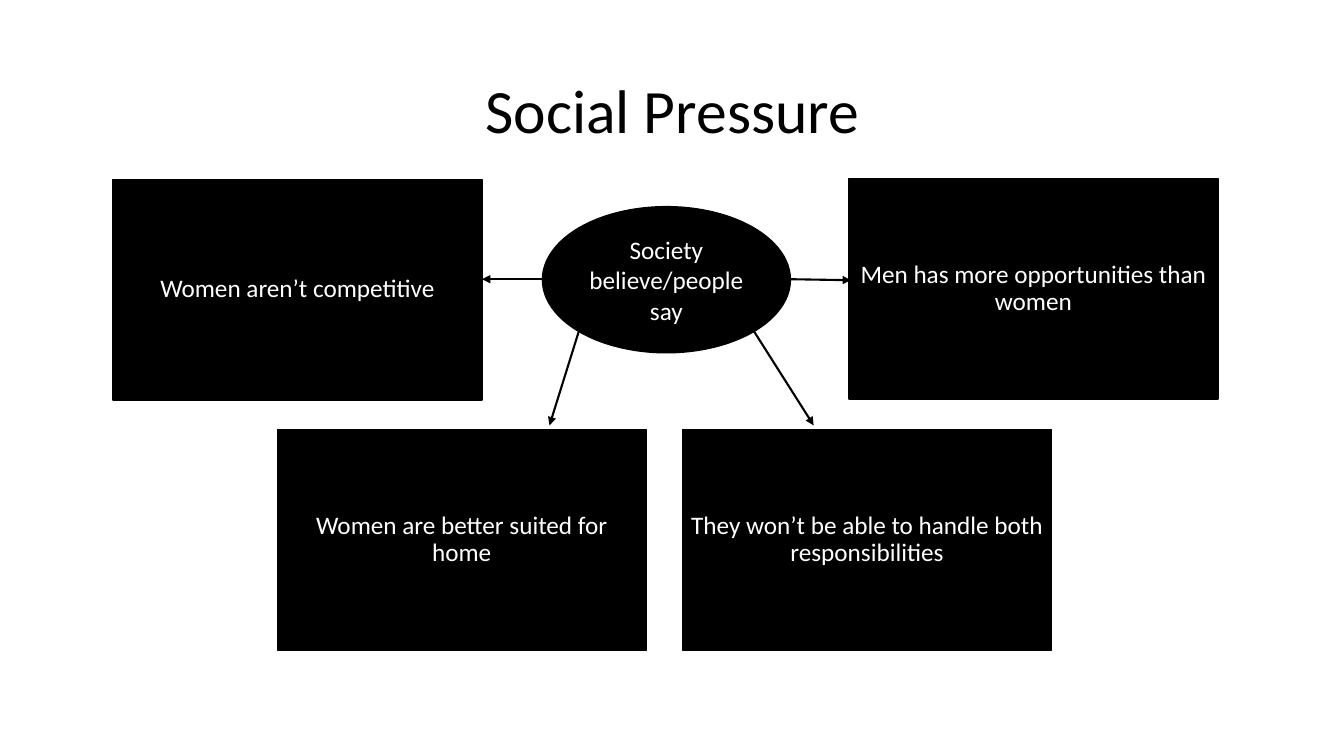
import pptx
import pptx.dml.color
import pptx.enum.shapes
import pptx.enum.text
import pptx.oxml
import pptx.oxml.ns
import pptx.util
from pptx.util import Inches

COLOURS = {"ink": "000000", "paper": "FFFFFF"}
FONT = "Calibri"
BOX_SIZE = (3.66, 2.19)
BELIEFS = [
    ("Men has more opportunities than women", 8.42, 1.77),
    ("Women aren’t competitive", 1.12, 1.78),
    ("They won’t be able to handle both responsibilities", 6.77, 4.26),
    ("Women are better suited for home", 2.75, 4.26),
]
ARROWS = [
    (5.38, 2.77, 4.78, 2.77),
    (7.83, 2.77, 8.44, 2.78),
    (5.74, 3.29, 5.45, 4.22),
    (7.48, 3.29, 8.07, 4.22),
]


def rgb(name):
    """Return the named colour."""
    return pptx.dml.color.RGBColor.from_string(COLOURS[name])


def set_all(target, values):
    """Set each attribute of target from a dict."""
    for name, value in values.items():
        setattr(target, name, value)


def write_text(shape, text, size, colour, spacing=1.0, inset=None):
    """Write one centred paragraph into a shape."""
    frame = shape.text_frame
    set_all(frame, {"word_wrap": True,
                    "vertical_anchor": pptx.enum.text.MSO_ANCHOR.MIDDLE})
    if inset is not None:
        sides = ("left", "top", "right", "bottom")
        set_all(frame, {f"margin_{side}": Inches(inset) for side in sides})
    paragraph = frame.paragraphs[0]
    set_all(paragraph, {"alignment": pptx.enum.text.PP_ALIGN.CENTER,
                        "line_spacing": spacing})
    run = paragraph.add_run()
    run.text = text
    set_all(run.font, {"name": FONT, "size": pptx.util.Pt(size)})
    run.font.color.rgb = rgb(colour)


def add_title(slide, text):
    """Add the slide heading."""
    title = slide.shapes.add_textbox(*map(Inches, (0.92, 0.4, 11.5, 1.45)))
    write_text(title, text, 44, "ink", spacing=0.9)


def add_node(slide, kind, bounds, text, **text_format):
    """Add a filled shape with a white label."""
    shape = slide.shapes.add_shape(kind, *map(Inches, bounds))
    shape.shadow.inherit = False
    shape.fill.solid()
    shape.fill.fore_color.rgb = rgb("ink")
    shape.line.color.rgb = rgb("ink")
    shape.line.width = pptx.util.Pt(1)
    write_text(shape, text, 18, "paper", **text_format)


def add_arrow(slide, ends):
    """Add a straight arrow pointing at the second end."""
    straight = pptx.enum.shapes.MSO_CONNECTOR.STRAIGHT
    arrow = slide.shapes.add_connector(straight, *map(Inches, ends))
    arrow.line.color.rgb = rgb("ink")
    arrow.line.width = pptx.util.Pt(1.5)
    head = pptx.oxml.parse_xml(
        f'<a:tailEnd {pptx.oxml.ns.nsdecls("a")} type="triangle"/>')
    arrow.line._get_or_add_ln().append(head)
    effects = pptx.oxml.parse_xml(f'<a:effectLst {pptx.oxml.ns.nsdecls("a")}/>')
    arrow._element.spPr.append(effects)


def main():
    """Build the slide and save it."""
    presentation = pptx.Presentation()
    set_all(presentation, {"slide_width": Inches(13.33),
                           "slide_height": Inches(7.5)})
    slide = presentation.slides.add_slide(presentation.slide_layouts[6])
    shapes = pptx.enum.shapes.MSO_SHAPE

    add_title(slide, "Social Pressure")
    for text, left, top in BELIEFS:
        add_node(slide, shapes.RECTANGLE, (left, top, *BOX_SIZE), text,
                 spacing=0.9, inset=0.07)
    add_node(slide, shapes.OVAL, (5.38, 2.05, 2.46, 1.45),
             "Society believe/people say")
    for ends in ARROWS:
        add_arrow(slide, ends)

    presentation.save("out.pptx")


main()
